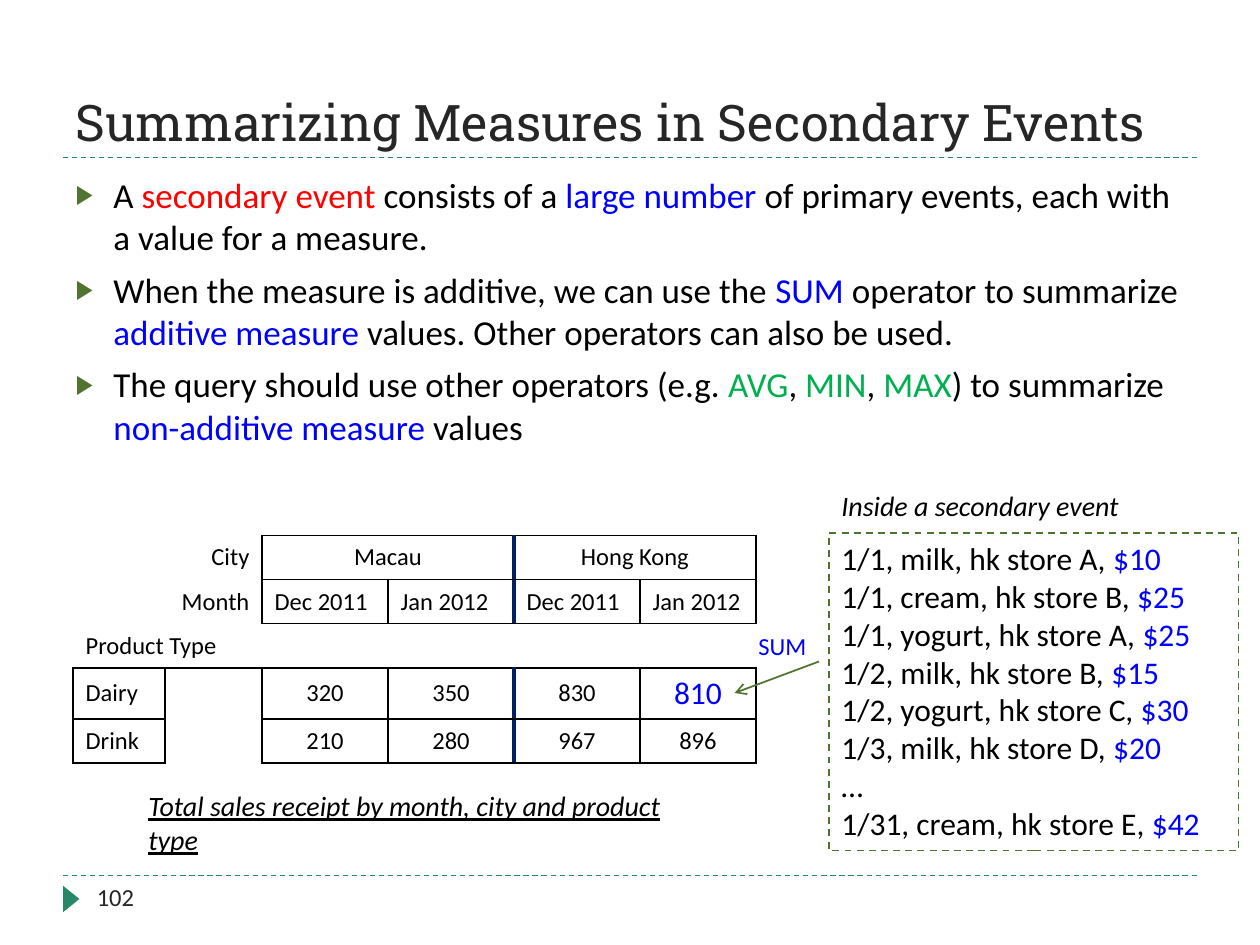
"""Build the slide on summarizing measures in secondary events."""
from lxml import etree
from pptx import Presentation
from pptx import util as u
from pptx.dml.color import RGBColor
from pptx.enum import dml, shapes, text
from pptx.oxml.ns import qn

BLACK = RGBColor(0x00, 0x00, 0x00)
WHITE = RGBColor(0xFF, 0xFF, 0xFF)
CHARCOAL = RGBColor(0x26, 0x26, 0x26)
RED = RGBColor(0xFF, 0x00, 0x00)
BLUE = RGBColor(0x00, 0x00, 0xFF)
GREEN = RGBColor(0x00, 0xB0, 0x50)
OLIVE = RGBColor(0x50, 0x74, 0x2F)
TEAL = RGBColor(0x26, 0x88, 0x68)
NAVY = RGBColor(0x00, 0x20, 0x60)

LEFT, CENTER, RIGHT = text.PP_ALIGN.LEFT, text.PP_ALIGN.CENTER, text.PP_ALIGN.RIGHT
TOP, MIDDLE, BOTTOM = text.MSO_ANCHOR.TOP, text.MSO_ANCHOR.MIDDLE, text.MSO_ANCHOR.BOTTOM

TITLE = "Summarizing Measures in Secondary Events"
POINTS = [
    [("A ",), ("secondary event ", RED), ("consists of a ",), ("large number ", BLUE),
     ("of primary events, each with a value for a measure.",)],
    [("When the measure is additive, we can use the ",), ("SUM ", BLUE),
     ("operator to summarize ",), ("additive measure", BLUE),
     (" values. Other operators can also be used.",)],
    [("The query should use other operators (e.g. ",), ("AVG", GREEN), (", ",),
     ("MIN", GREEN), (", ",), ("MAX", GREEN), (") to summarize ",),
     ("non-additive measure ", BLUE), ("values",)],
]
RECEIPTS = [
    ("1/1, milk, hk store A, ", "$10"),
    ("1/1, cream, hk store B, ", "$25"),
    ("1/1, yogurt, hk store A, ", "$25"),
    ("1/2, milk, hk store B, ", "$15"),
    ("1/2, yogurt, hk store C, ", "$30"),
    ("1/3, milk, hk store D, ", "$20"),
    ("…", ""),
    ("1/31, cream, hk store E, ", "$42"),
]
SALES = [
    ["City", "", "Macau", "", "Hong Kong", ""],
    ["Month", "", "Dec 2011", "Jan 2012", "Dec 2011", "Jan 2012"],
    ["Product Type", "", "", "", "", ""],
    ["Dairy", "", "320", "350", "830", "810"],
    ["Drink", "", "210", "280", "967", "896"],
]
COLUMN_WIDTHS = [0.73, 0.77, 1, 1, 1, 0.92]
ROW_HEIGHT = 0.35
MERGES = [(0, 0), (0, 2), (0, 4), (1, 0), (2, 0)]
CITY_EDGE = 4
SUMMED = (3, 5)
PLAIN_TABLE = "{2D5ABB26-0587-4C30-8999-92F81FD0307C}"

LABELS = [
    ("102", (0.67, 6.95, 2.17, 0.4), {"size": u.Pt(14)}, CHARCOAL),
    ("Inside a secondary event", (6.58, 3.83, 2.92, 0.37),
     {"size": u.Pt(16), "italic": True}, BLACK),
    ("Total sales receipt by month, city and product type", (1.08, 6.21, 4.67, 0.37),
     {"size": u.Pt(16), "italic": True, "underline": True}, BLACK),
    ("SUM", (5.92, 4.96, 0.83, 0.34), {"size": u.Pt(14)}, BLUE),
]


def inches(values):
    return [u.Inches(value) for value in values]


def add_runs(paragraph, runs, look, color=BLACK, align=LEFT):
    paragraph.alignment = align
    for words, *accent in runs:
        run = paragraph.add_run()
        run.text = words
        for key, value in {"name": "Calibri", **look}.items():
            setattr(run.font, key, value)
        run.font.color.rgb = accent[0] if accent else color


def fill_frame(frame, paragraphs, look, color=BLACK, anchor=TOP):
    frame.word_wrap = True
    frame.auto_size = text.MSO_AUTO_SIZE.NONE
    frame.vertical_anchor = anchor
    for index, runs in enumerate(paragraphs):
        paragraph = frame.add_paragraph() if index else frame.paragraphs[0]
        add_runs(paragraph, runs, look, color)


def place(shape, box):
    for key, value in zip(("left", "top", "width", "height"), inches(box)):
        setattr(shape, key, value)


def add_bullet(paragraph):
    props = paragraph._p.get_or_add_pPr()
    props.set("marL", str(u.Inches(0.3)))
    props.set("indent", str(u.Inches(-0.3)))
    tint = etree.SubElement(props, qn("a:buClr"))
    etree.SubElement(tint, qn("a:srgbClr"), val=str(OLIVE))
    etree.SubElement(props, qn("a:buSzPct"), val="76000")
    etree.SubElement(props, qn("a:buFont"), typeface="Calibri")
    etree.SubElement(props, qn("a:buChar"), char="▶")


def style_line(line, color, width, dashed=False):
    line.color.rgb = color
    line.width = u.Pt(width)
    if dashed:
        line.dash_style = dml.MSO_LINE.DASH


def add_line(slide, start, end, color, width, dashed=False):
    line = slide.shapes.add_connector(
        shapes.MSO_CONNECTOR.STRAIGHT, *inches(start), *inches(end))
    style_line(line.line, color, width, dashed)
    etree.SubElement(line._element.spPr, qn("a:effectLst"))
    return line


def add_box(slide, kind, box, fill):
    shape = slide.shapes.add_shape(kind, *inches(box))
    shape.shadow.inherit = False
    shape.fill.solid()
    shape.fill.fore_color.rgb = fill
    return shape


def outline_cell(cell, row, column):
    last = column + cell.span_width - 1
    props = cell._tc.get_or_add_tcPr()
    city_sides = {"lnL": column == CITY_EDGE, "lnR": last == CITY_EDGE - 1}
    for position, side in enumerate(("lnL", "lnR", "lnT", "lnB")):
        color, width = (NAVY, 2.25) if city_sides.get(side) else (BLACK, 1)
        edge = etree.Element(qn(f"a:{side}"), w=str(u.Pt(width)))
        solid = etree.SubElement(edge, qn("a:solidFill"))
        etree.SubElement(solid, qn("a:srgbClr"), val=str(color))
        props.insert(position, edge)


def add_sales_table(slide):
    height = ROW_HEIGHT * len(SALES)
    frame = slide.shapes.add_table(
        len(SALES), len(COLUMN_WIDTHS),
        *inches((0.58, 4.25, sum(COLUMN_WIDTHS), height)))
    table = frame.table
    table._tbl.tblPr.find(qn("a:tableStyleId")).text = PLAIN_TABLE
    table.first_row = table.horz_banding = False
    for column, width in zip(table.columns, COLUMN_WIDTHS):
        column.width = u.Inches(width)
    for row in table.rows:
        row.height = u.Inches(ROW_HEIGHT)
    for row, column in MERGES:
        table.cell(row, column).merge(table.cell(row, column + 1))
    for row, entries in enumerate(SALES):
        for column, entry in enumerate(entries):
            cell = table.cell(row, column)
            cell.fill.background()
            cell.vertical_anchor = MIDDLE
            paragraph = cell.text_frame.paragraphs[0]
            if entry:
                summed = (row, column) == SUMMED
                align = RIGHT if column == 0 and row < 2 else LEFT
                if column > 1 and row != 1:
                    align = CENTER
                add_runs(paragraph, [(entry,)], {"size": u.Pt(18 if summed else 14)},
                         BLUE if summed else BLACK, align)
            else:
                etree.SubElement(paragraph._p, qn("a:endParaRPr"), sz="1400")
            boxed = (column > 1 and row != 2) or (column == 0 and row > 2)
            if boxed and not cell.is_spanned:
                outline_cell(cell, row, column)


def main():
    deck = Presentation()
    deck.slide_width, deck.slide_height = inches((10, 7.5))
    slide = deck.slides.add_slide(deck.slide_layouts[1])
    title, points = slide.placeholders

    for height in (6.95, 1.25):
        add_line(slide, (0.5, height), (9.5, height), TEAL, 0.75, dashed=True)
    marker = add_box(slide, shapes.MSO_SHAPE.ISOSCELES_TRIANGLE,
                     (0.46, 7.07, 0.21, 0.13), TEAL)
    marker.line.fill.background()
    marker.rotation = 90

    place(title, (0.5, 0.17, 9, 1.08))
    fill_frame(title.text_frame, [[(TITLE,)]],
               {"name": "Roboto Slab", "size": u.Pt(28.8)}, CHARCOAL, BOTTOM)
    place(points, (0.5, 1.33, 9, 2.5))
    fill_frame(points.text_frame, POINTS, {"size": u.Pt(20)})
    for index, paragraph in enumerate(points.text_frame.paragraphs):
        add_bullet(paragraph)
        paragraph.space_before = u.Pt(6 if index else 0)

    add_sales_table(slide)
    receipts = add_box(slide, shapes.MSO_SHAPE.RECTANGLE, (6.58, 4.23, 3.25, 2.52), WHITE)
    style_line(receipts.line, OLIVE, 1, dashed=True)
    fill_frame(receipts.text_frame,
               [[(sale,), (price, BLUE)] if price else [(sale,)] for sale, price in RECEIPTS],
               {"size": u.Pt(18)})

    arrow = add_line(slide, (6.5, 5.25), (5.83, 5.5), OLIVE, 1)
    etree.SubElement(arrow.line._get_or_add_ln(), qn("a:tailEnd"), type="arrow")
    for words, box, look, color in LABELS:
        label = slide.shapes.add_textbox(*inches(box))
        fill_frame(label.text_frame, [[(words,)]], look, color)

    deck.save("out.pptx")


if __name__ == "__main__":
    main()
